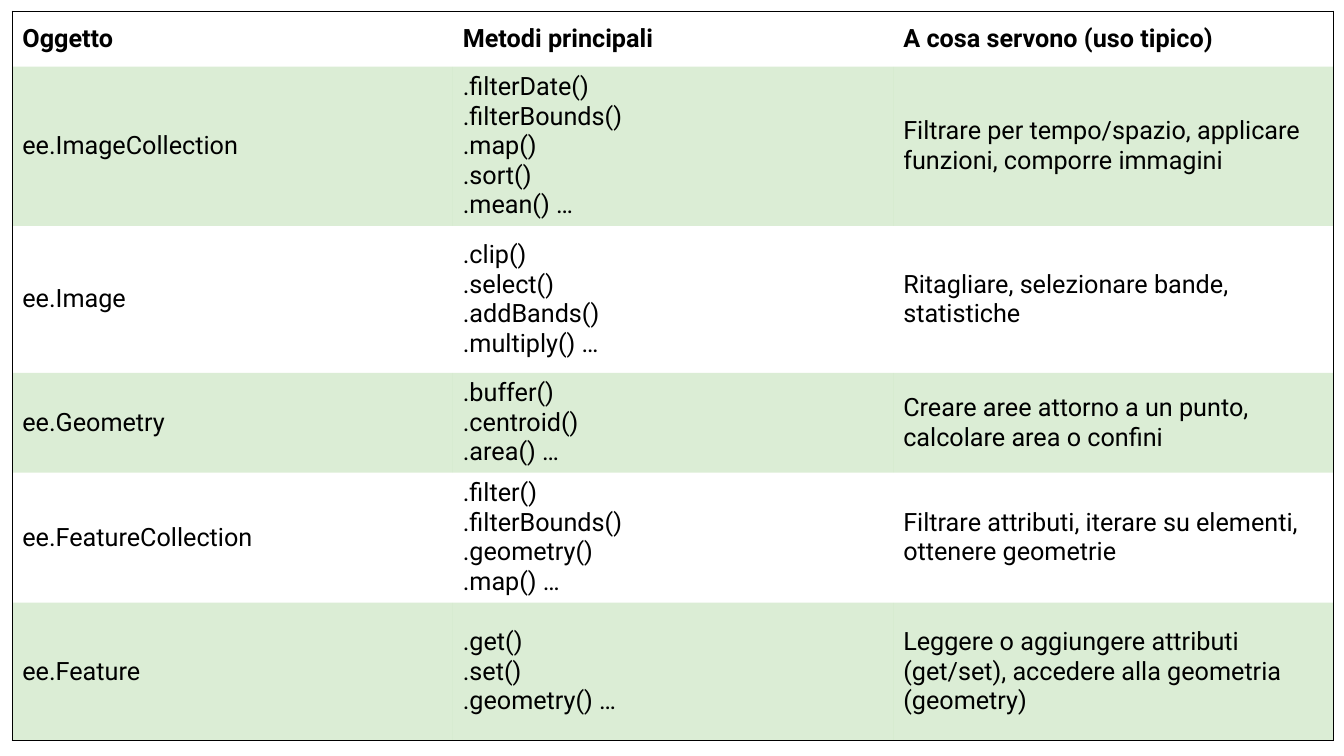
from lxml import etree
from pptx import Presentation
from pptx.dml.color import RGBColor
from pptx.enum.text import MSO_ANCHOR
from pptx.oxml.ns import qn
from pptx.util import Cm, Pt

FONT = "Roboto"
BLACK = "000000"
GREEN = "4EA72E"
GREEN_OPACITY = 20
COLUMN_WIDTH = 11.1
ROW_HEIGHTS = [1.4, 4.01, 3.71, 2.51, 3.28, 3.48]
METHODS_BY_OBJECT = [
    ("Oggetto", ["Metodi principali"], "A cosa servono (uso tipico)"),
    ("ee.ImageCollection",
     [".filterDate()", ".filterBounds()", ".map()", ".sort()", ".mean() …"],
     "Filtrare per tempo/spazio, applicare funzioni, comporre immagini"),
    ("ee.Image",
     [".clip()", ".select()", ".addBands()", ".multiply() …"],
     "Ritagliare, selezionare bande, statistiche"),
    ("ee.Geometry",
     [".buffer()", ".centroid()", ".area() …"],
     "Creare aree attorno a un punto, calcolare area o confini"),
    ("ee.FeatureCollection",
     [".filter()", ".filterBounds()", ".geometry()", ".map() …"],
     "Filtrare attributi, iterare su elementi, ottenere geometrie"),
    ("ee.Feature",
     [".get()", ".set()", ".geometry() …"],
     "Leggere o aggiungere attributi (get/set), accedere alla geometria (geometry)"),
]


def color(hex_value):
    """Turn a hex string into a colour."""
    return RGBColor.from_string(hex_value)


def set_borders(cell, outer_sides):
    """Draw a thin black line on the outer sides and none on the others."""
    properties = cell._tc.get_or_add_tcPr()
    for side in "LRTB":
        line = etree.SubElement(properties, qn(f"a:ln{side}"), w=str(Pt(1)))
        if side in outer_sides:
            fill = etree.SubElement(line, qn("a:solidFill"))
            etree.SubElement(fill, qn("a:srgbClr"), val=BLACK)
        else:
            etree.SubElement(line, qn("a:noFill"))


def set_fill(cell, shaded):
    """Give a cell the translucent green band or no fill."""
    if not shaded:
        cell.fill.background()
        return
    cell.fill.solid()
    cell.fill.fore_color.rgb = color(GREEN)
    band = cell._tc.tcPr.find(qn("a:solidFill")).find(qn("a:srgbClr"))
    etree.SubElement(band, qn("a:alpha"), val=str(GREEN_OPACITY * 1000))


def write_cell(cell, lines, bold):
    """Write one paragraph per line, vertically centred."""
    cell.vertical_anchor = MSO_ANCHOR.MIDDLE
    frame = cell.text_frame
    for index, line in enumerate(lines):
        paragraph = frame.add_paragraph() if index else frame.paragraphs[0]
        run = paragraph.add_run()
        run.text = line
        run.font.name = FONT
        run.font.size = Pt(18)
        run.font.bold = bold
        run.font.color.rgb = color(BLACK)


def add_methods_table(slide, left, top, width, height):
    """Place the table of objects, methods and uses in the given box."""
    last_row = len(METHODS_BY_OBJECT) - 1
    methods = slide.shapes.add_table(
        last_row + 1, 3, Cm(left), Cm(top), Cm(width), Cm(height)).table
    methods.first_row = False
    methods.horz_banding = False
    for column in methods.columns:
        column.width = Cm(width / 3)
    for r, (name, calls, use) in enumerate(METHODS_BY_OBJECT):
        methods.rows[r].height = Cm(ROW_HEIGHTS[r] * height / sum(ROW_HEIGHTS))
        for c, lines in enumerate(([name], calls, [use])):
            cell = methods.cell(r, c)
            edges = {"L": c == 0, "R": c == 2, "T": r == 0, "B": r == last_row}
            set_borders(cell, [side for side, outer in edges.items() if outer])
            set_fill(cell, r % 2 == 1)
            write_cell(cell, lines, r == 0)


def main():
    """Build the slide and save it."""
    deck = Presentation()
    deck.slide_width = Cm(33.87)
    deck.slide_height = Cm(19.05)
    slide = deck.slides.add_slide(deck.slide_layouts[6])
    add_methods_table(slide, 0.31, 0.28, 3 * COLUMN_WIDTH, sum(ROW_HEIGHTS))
    deck.save("out.pptx")


if __name__ == "__main__":
    main()
